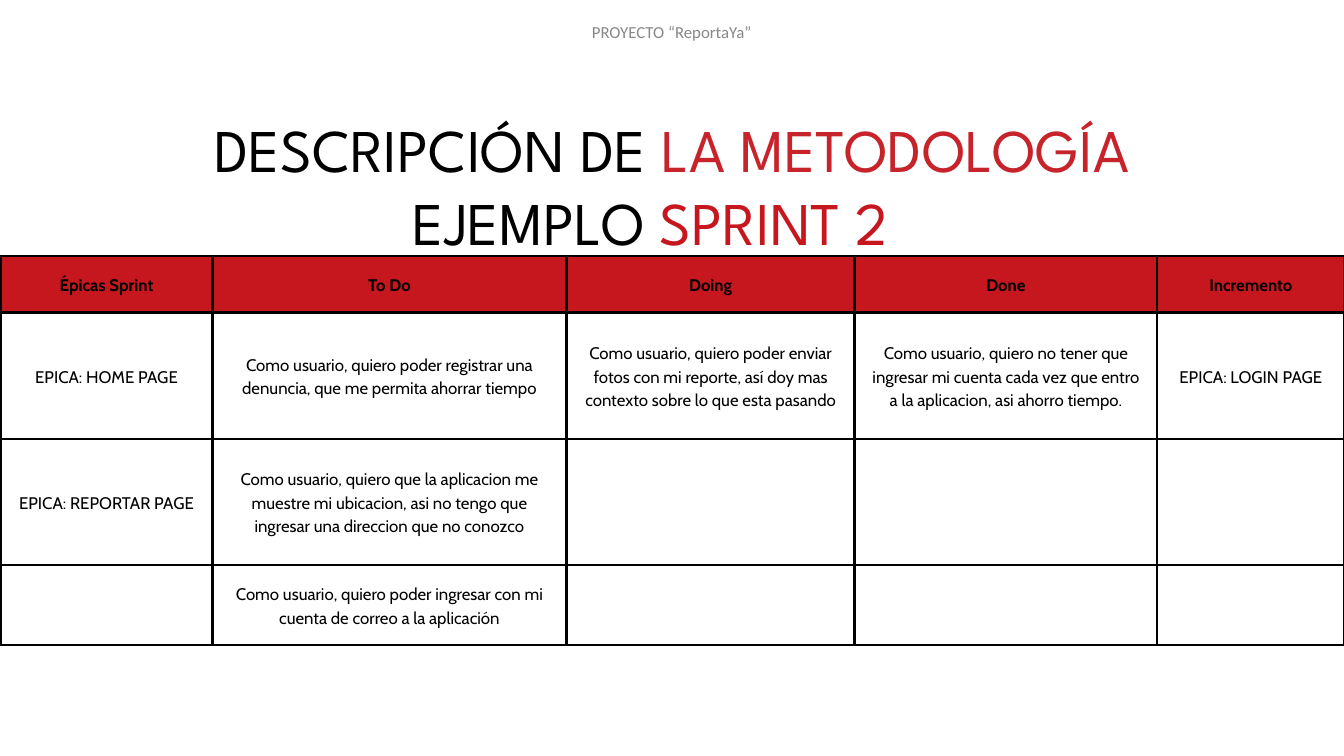
from lxml import etree
from pptx import Presentation
from pptx.dml.color import RGBColor
from pptx.enum.text import MSO_ANCHOR, PP_ALIGN
from pptx.oxml.ns import qn
from pptx.util import Inches, Pt

BLACK = RGBColor(0x00, 0x00, 0x00)
GRAY = RGBColor(0x88, 0x88, 0x88)
RED = RGBColor(0xC6, 0x16, 0x1E)
BRIGHT_RED = RGBColor(0xC6, 0x23, 0x2A)

COLUMN_WIDTHS = [3.15, 5.27, 4.29, 4.5, 2.79]
ROW_HEIGHTS = [0.84, 1.88, 1.88, 1.19]
SPRINT_BOARD = [
    ["Épicas Sprint", "To Do", "Doing", "Done", "Incremento"],
    [
        "EPICA: HOME PAGE",
        "Como usuario, quiero poder registrar una denuncia, que me permita ahorrar tiempo",
        "Como usuario, quiero poder enviar fotos con mi reporte, así doy mas contexto "
        "sobre lo que esta pasando",
        "Como usuario, quiero no tener que ingresar mi cuenta cada vez que entro a la "
        "aplicacion, asi ahorro tiempo.",
        "EPICA: LOGIN PAGE",
    ],
    [
        "EPICA: REPORTAR PAGE",
        "Como usuario, quiero que la aplicacion me muestre mi ubicacion, asi no tengo "
        "que ingresar una direccion que no conozco",
        "", "", "",
    ],
    [
        "",
        "Como usuario, quiero poder ingresar con mi cuenta de correo a la aplicación",
        "", "", "",
    ],
]


def add_line(slide, left, top, width, height, parts, font, size, spacing,
             anchor=MSO_ANCHOR.TOP):
    """Add one centred line of text made of (wording, colour) parts."""
    box = slide.shapes.add_textbox(
        Inches(left), Inches(top), Inches(width), Inches(height))
    frame = box.text_frame
    frame.word_wrap = True
    frame.vertical_anchor = anchor
    frame.margin_left = frame.margin_right = 0
    frame.margin_top = frame.margin_bottom = 0
    line = frame.paragraphs[0]
    line.alignment = PP_ALIGN.CENTER
    line.line_spacing = Pt(spacing)
    line.font.name = font
    line.font.size = Pt(size)
    for wording, color in parts:
        run = line.add_run()
        run.text = wording
        run.font.color.rgb = color


def add_title(slide, left, top, parts):
    add_line(slide, left, top, 17.78, 1.22, parts, "League Spartan", 64.9, 90.9)


def set_borders(cell, color, width):
    properties = cell._tc.get_or_add_tcPr()
    for position, side in enumerate(("a:lnL", "a:lnR", "a:lnT", "a:lnB")):
        border = etree.Element(qn(side), w=str(Pt(width)))
        fill = etree.SubElement(border, qn("a:solidFill"))
        etree.SubElement(fill, qn("a:srgbClr"), val=str(color))
        properties.insert(position, border)


def format_cell(cell, wording, is_header):
    cell.text = wording
    cell.vertical_anchor = MSO_ANCHOR.MIDDLE
    cell.margin_left = cell.margin_right = Inches(0.21)
    cell.margin_top = cell.margin_bottom = Inches(0.21)
    if is_header:
        cell.fill.solid()
        cell.fill.fore_color.rgb = RED
    else:
        cell.fill.background()
    set_borders(cell, BLACK, 3)
    paragraph = cell.text_frame.paragraphs[0]
    paragraph.alignment = PP_ALIGN.CENTER
    paragraph.line_spacing = Pt(25.2)
    paragraph.font.name = "Cabin"
    paragraph.font.size = Pt(18)
    paragraph.font.bold = is_header
    paragraph.font.color.rgb = BLACK


def add_sprint_board(slide):
    board = slide.shapes.add_table(
        len(ROW_HEIGHTS), len(COLUMN_WIDTHS), Inches(0.01), Inches(3.81),
        Inches(sum(COLUMN_WIDTHS)), Inches(sum(ROW_HEIGHTS))).table
    board.horz_banding = False
    for column, width in zip(board.columns, COLUMN_WIDTHS):
        column.width = Inches(width)
    for row, height in zip(board.rows, ROW_HEIGHTS):
        row.height = Inches(height)
    for r, wordings in enumerate(SPRINT_BOARD):
        for c, wording in enumerate(wordings):
            format_cell(board.cell(r, c), wording, is_header=r == 0)


def main():
    deck = Presentation()
    deck.slide_width = Inches(20)
    deck.slide_height = Inches(11.25)
    slide = deck.slides.add_slide(deck.slide_layouts[6])

    add_line(slide, 6.62, 0.21, 6.75, 0.54, [("PROYECTO “ReportaYa”", GRAY)],
             "Calibri", 18, 21.6, MSO_ANCHOR.MIDDLE)
    add_sprint_board(slide)
    add_title(slide, 1.11, 1.49,
              [("DESCRIPCIÓN DE ", BLACK), ("LA METODOLOGÍA", BRIGHT_RED)])
    add_title(slide, 0.79, 2.57, [("EJEMPLO ", BLACK), ("SPRINT 2", RED)])

    deck.save("out.pptx")


if __name__ == "__main__":
    main()
